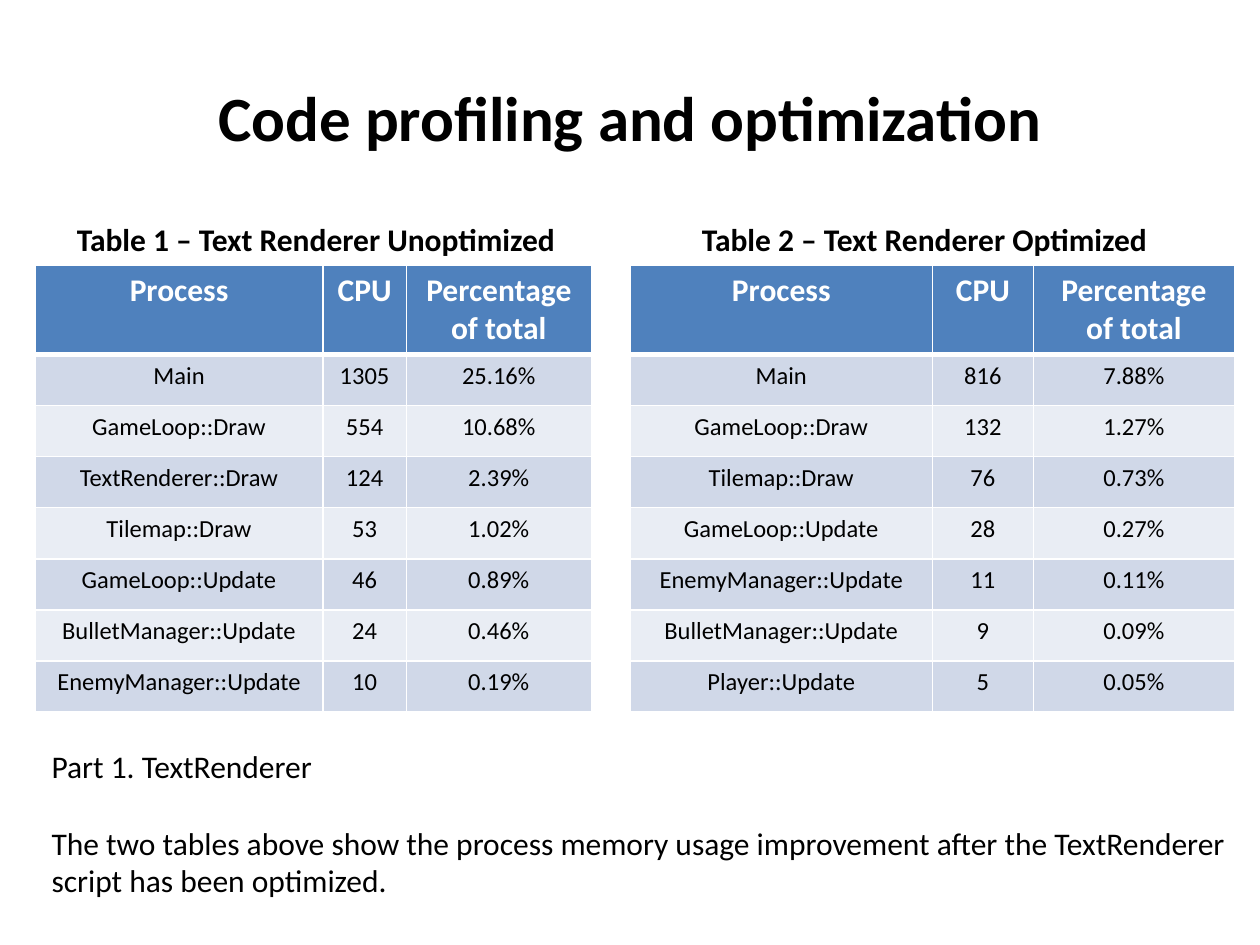
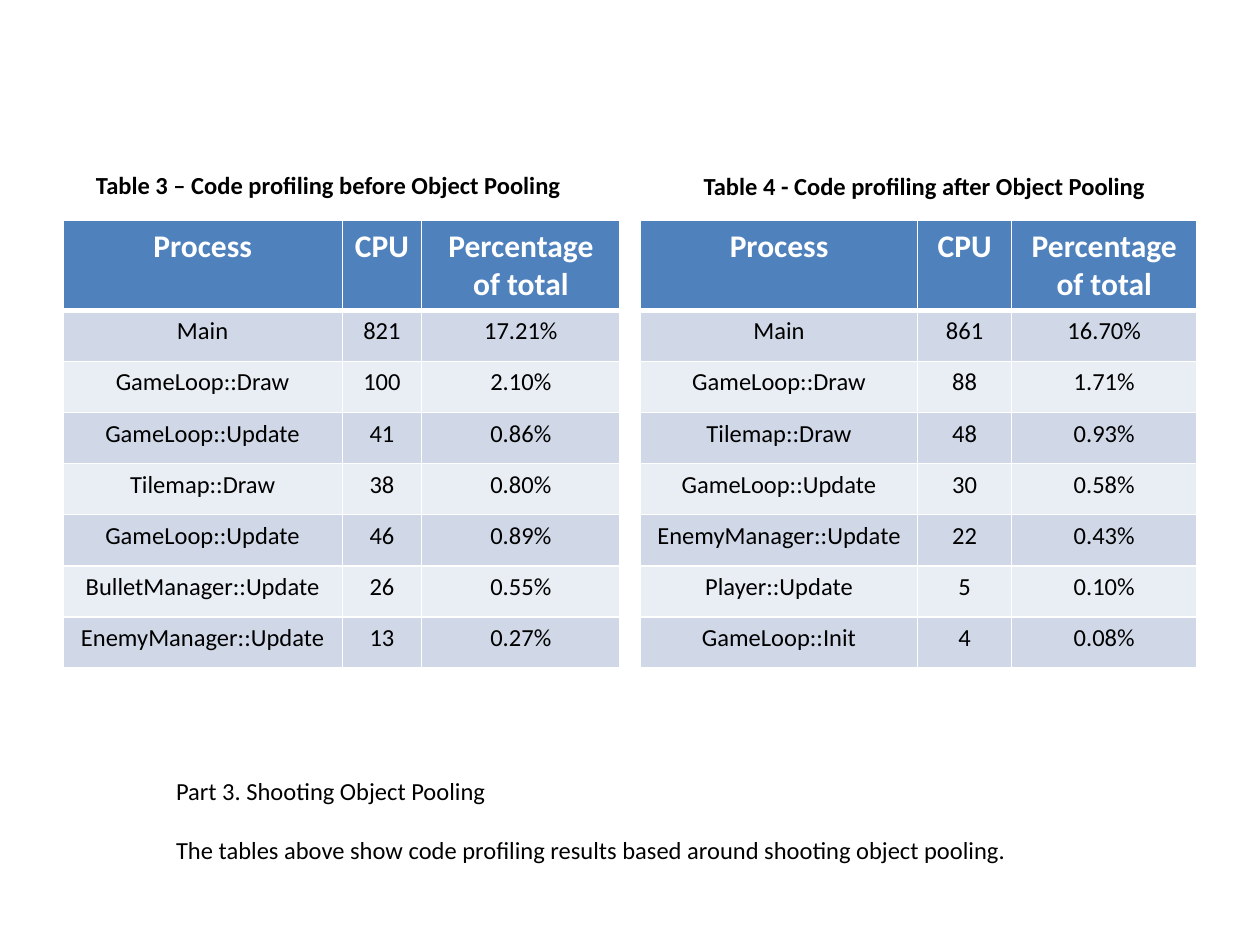
"""Build two slides that compare code profiling tables before and after optimization."""
import pptx
import pptx.dml.color
import pptx.enum.text
import pptx.oxml
import pptx.oxml.ns
import pptx.util

Cm, Pt = pptx.util.Cm, pptx.util.Pt
CENTER = pptx.enum.text.PP_ALIGN.CENTER
LEFT = pptx.enum.text.PP_ALIGN.LEFT
MIDDLE = pptx.enum.text.MSO_ANCHOR.MIDDLE

FONT = "Calibri"
BLACK, WHITE = "000000", "FFFFFF"
HEADER_FILL = "4F81BD"
BAND_FILLS = ("D0D8E8", "E9EDF4")
HEADER_HEIGHT, ROW_HEIGHT = 1.78, 1.03
HEADER_SIZE, ROW_SIZE = 18, 14
HEADINGS = ("Process", "CPU", "Percentage of total")

SLIDES = [
    {
        "title": ("Code profiling and optimization", (1.27, 0.76, 22.86, 3.18), 36),
        "captions": [
            ("Table 1 – Text Renderer Unoptimized", (1.3, 4.32, 10.24, 1.02), 18, LEFT),
            ("Table 2 – Text Renderer Optimized", (13.9, 4.32, 9.58, 1.02), 18, LEFT),
        ],
        "tables_top": 5.34,
        "tables": [
            {
                "left": 0.71,
                "columns": (5.8, 1.68, 3.73),
                "rows": [
                    ("Main", "1305", "25.16%"),
                    ("GameLoop::Draw", "554", "10.68%"),
                    ("TextRenderer::Draw", "124", "2.39%"),
                    ("Tilemap::Draw", "53", "1.02%"),
                    ("GameLoop::Update", "46", "0.89%"),
                    ("BulletManager::Update", "24", "0.46%"),
                    ("EnemyManager::Update", "10", "0.19%"),
                ],
            },
            {
                "left": 12.7,
                "columns": (6.1, 2.03, 4.06),
                "rows": [
                    ("Main", "816", "7.88%"),
                    ("GameLoop::Draw", "132", "1.27%"),
                    ("Tilemap::Draw", "76", "0.73%"),
                    ("GameLoop::Update", "28", "0.27%"),
                    ("EnemyManager::Update", "11", "0.11%"),
                    ("BulletManager::Update", "9", "0.09%"),
                    ("Player::Update", "5", "0.05%"),
                ],
            },
        ],
        "note": {
            "lines": [
                "Part 1. TextRenderer",
                "The two tables above show the process memory usage improvement after the TextRenderer",
                "script has been optimized.",
            ],
            "box": (0.79, 14.94, 24.61, 4.11),
            "size": 18,
            "wrap": True,
        },
    },
    {
        "title": ("Table 3 – Code profiling before Object Pooling", (1.3, 3.12, 10.64, 1.19), 14),
        "captions": [
            ("Table 4 - Code profiling after Object Pooling", (13.9, 3.33, 9.47, 0.86), 14, CENTER),
        ],
        "tables_top": 4.45,
        "tables": [
            {
                "left": 1.27,
                "columns": (5.63, 1.6, 4),
                "rows": [
                    ("Main", "821", "17.21%"),
                    ("GameLoop::Draw", "100", "2.10%"),
                    ("GameLoop::Update", "41", "0.86%"),
                    ("Tilemap::Draw", "38", "0.80%"),
                    ("GameLoop::Update", "46", "0.89%"),
                    ("BulletManager::Update", "26", "0.55%"),
                    ("EnemyManager::Update", "13", "0.27%"),
                ],
            },
            {
                "left": 12.91,
                "columns": (5.59, 1.89, 3.74),
                "rows": [
                    ("Main", "861", "16.70%"),
                    ("GameLoop::Draw", "88", "1.71%"),
                    ("Tilemap::Draw", "48", "0.93%"),
                    ("GameLoop::Update", "30", "0.58%"),
                    ("EnemyManager::Update", "22", "0.43%"),
                    ("Player::Update", "5", "0.10%"),
                    ("GameLoop::Init", "4", "0.08%"),
                ],
            },
        ],
        "note": {
            "lines": [
                "Part 3. Shooting Object Pooling",
                "The tables above show code profiling results based around shooting object pooling.",
            ],
            "box": (3.3, 15.52, 17.78, 2.06),
            "size": 14,
            "wrap": False,
        },
    },
]


def rgb(color):
    return pptx.dml.color.RGBColor.from_string(color)


def write(frame, lines, size, color=BLACK, bold=False, align=CENTER):
    frame.text = "\n".join(lines)
    for paragraph in frame.paragraphs:
        paragraph.alignment = align
        font = paragraph.font
        font.name, font.size, font.bold = FONT, Pt(size), bold
        font.color.rgb = rgb(color)


def add_title(slide, text, box, size):
    title = slide.shapes.title
    title.left, title.top, title.width, title.height = map(Cm, box)
    title.text_frame.vertical_anchor = MIDDLE
    write(title.text_frame, [text], size, bold=True)


def add_text(slide, lines, box, size, wrap=False, **style):
    frame = slide.shapes.add_textbox(*map(Cm, box)).text_frame
    frame.word_wrap = wrap
    write(frame, lines, size, **style)
    return frame


def add_note(slide, lines, box, size, wrap):
    frame = add_text(slide, lines, box, size, wrap, align=LEFT)
    frame.paragraphs[0].space_after = Pt(size * 1.22)


def set_borders(cell, top, bottom):
    properties = cell._tc.get_or_add_tcPr()
    for side, width in (("L", 1), ("R", 1), ("T", top), ("B", bottom)):
        properties.append(pptx.oxml.parse_xml(
            f'<a:ln{side} {pptx.oxml.ns.nsdecls("a")} w="{Pt(width)}"><a:solidFill>'
            f'<a:srgbClr val="{WHITE}"/></a:solidFill></a:ln{side}>'))


def add_profile(slide, top, left, columns, rows):
    records = [HEADINGS, *rows]
    heights = [HEADER_HEIGHT] + [ROW_HEIGHT] * len(rows)
    table = slide.shapes.add_table(
        len(records), len(columns), Cm(left), Cm(top), Cm(sum(columns)), Cm(sum(heights))).table
    for column, width in zip(table.columns, columns):
        column.width = Cm(width)
    for r, (record, height) in enumerate(zip(records, heights)):
        table.rows[r].height = Cm(height)
        header = r == 0
        fill = HEADER_FILL if header else BAND_FILLS[(r - 1) % 2]
        for c, value in enumerate(record):
            cell = table.cell(r, c)
            set_borders(cell, top=3 if r == 1 else 1, bottom=3 if header else 1)
            cell.fill.solid()
            cell.fill.fore_color.rgb = rgb(fill)
            write(cell.text_frame, [value], HEADER_SIZE if header else ROW_SIZE,
                  WHITE if header else BLACK, bold=header)


def main():
    deck = pptx.Presentation()
    deck.slide_width, deck.slide_height = Cm(25.4), Cm(19.05)
    title_only = deck.slide_layouts.get_by_name("Title Only")
    for content in SLIDES:
        slide = deck.slides.add_slide(title_only)
        add_title(slide, *content["title"])
        for profile in content["tables"]:
            add_profile(slide, content["tables_top"], **profile)
        for text, box, size, align in content["captions"]:
            add_text(slide, [text], box, size, bold=True, align=align)
        add_note(slide, **content["note"])
    deck.save("out.pptx")


if __name__ == "__main__":
    main()
